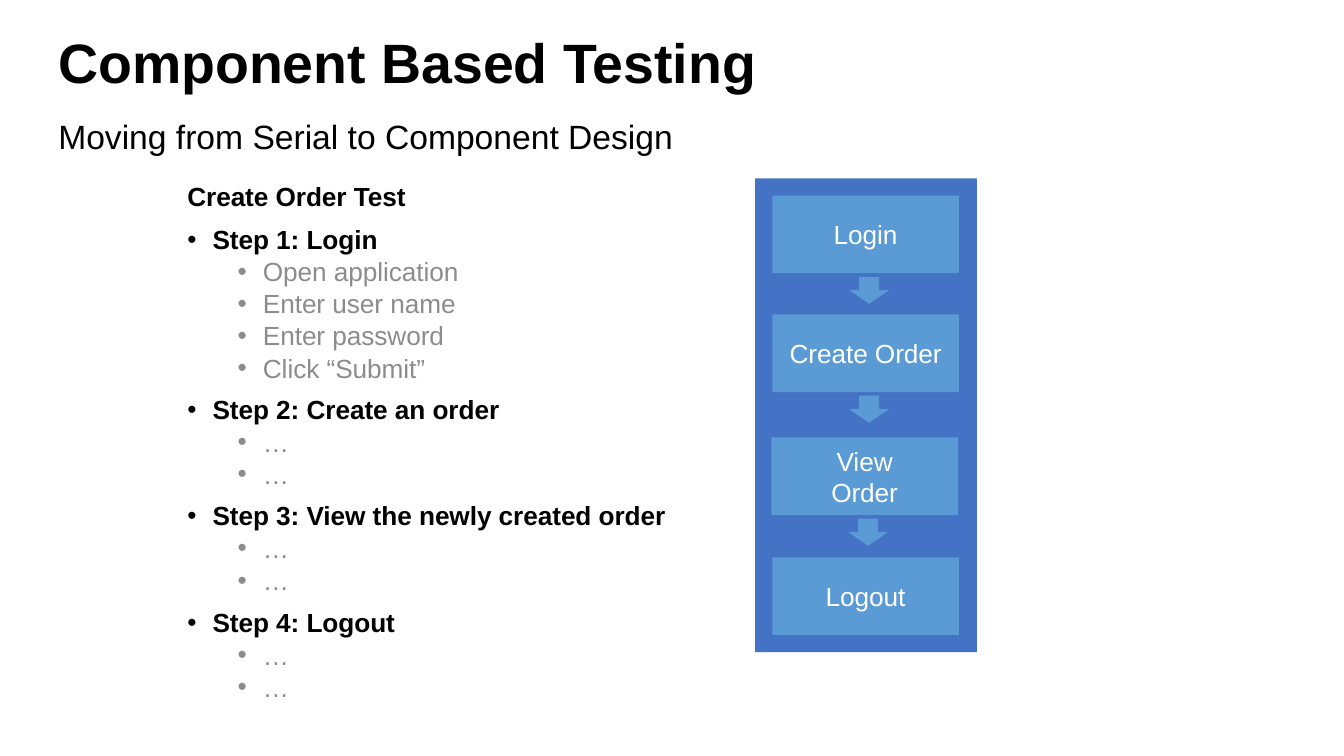
"""Builds the Component Based Testing slide."""
from pptx import Presentation
from pptx.dml.color import RGBColor
from pptx.enum.shapes import MSO_SHAPE as Preset
from pptx.enum.text import MSO_ANCHOR as Anchor, PP_ALIGN as Align
from pptx.oxml.ns import qn
from pptx.util import Inches, Pt
from lxml.etree import SubElement

COLORS = {
    "text": "000000", "detail": "8C8C8C", "label": "FFFFFF",
    "panel": "4472C4", "stage": "5B9BD5",
}
HEADING, TEST_STEPS = "Create Order Test", [
    ("Step 1: Login",
     ["Open application", "Enter user name", "Enter password", "Click “Submit”"]),
    ("Step 2: Create an order", ["…", "…"]),
    ("Step 3: View the newly created order", ["…", "…"]),
    ("Step 4: Logout", ["…", "…"]),
]
STAGES = [
    (["Login"], 7.66, 1.94),
    (["Create Order"], 7.66, 3.12),
    (["View", "Order"], 7.65, 4.34),
    (["Logout"], 7.66, 5.53),
]
STAGE_WIDTH, STAGE_HEIGHT = 1.85, 0.77
ARROW_WIDTH, ARROW_HEIGHT, ARROW_GAP = 0.38, 0.26, 0.04
BODY_SIZE = 18.66


class SlideBuilder:
    """Holds the slide and its style."""

    def __init__(self, slide, font="Arial"):
        self.slide = slide
        self.font = font
        self.flow = None

    def color(self, name):
        return RGBColor.from_string(COLORS[name])

    def style(self, paragraph, size, color, bold=False):
        font = paragraph.font
        font.name, font.size, font.bold = self.font, Pt(size), bold
        font.color.rgb = self.color(color)

    def text_box(self, left, top, width, height, anchor=Anchor.TOP):
        frame = self.slide.shapes.add_textbox(
            Inches(left), Inches(top), Inches(width), Inches(height)).text_frame
        frame.word_wrap = True
        frame.vertical_anchor = anchor
        return frame

    def title(self, box, text):
        frame = self.text_box(*box, Anchor.MIDDLE)
        frame.margin_top = frame.margin_bottom = 0
        frame.text = text
        frame.paragraphs[0].line_spacing = 0.9
        self.style(frame.paragraphs[0], 39.6, "text", True)

    def subtitle(self, box, text):
        frame = self.text_box(*box)
        frame.text = text
        self.style(frame.paragraphs[0], 24, "text")

    def bullet(self, paragraph, margin):
        properties = paragraph._p.get_or_add_pPr()
        properties.set("marL", str(Inches(margin)))
        properties.set("indent", str(-Inches(0.25)))
        SubElement(properties, qn("a:buFont")).set("typeface", self.font)
        SubElement(properties, qn("a:buChar")).set("char", "•")

    def outline(self, box, heading, steps):
        frame = self.text_box(*box)
        title = frame.paragraphs[0]
        title.text, title.line_spacing = heading, 0.9
        self.style(title, BODY_SIZE, "text", True)
        for step, details in steps:
            self.item(frame, step, "text", 0.25, 0.9, 10, True)
            for detail in details:
                self.item(frame, detail, "detail", 0.75, 0.8, 5)

    def item(self, frame, text, color, margin, spacing, before, bold=False):
        paragraph = frame.add_paragraph()
        paragraph.text = text
        paragraph.line_spacing = spacing
        paragraph.space_before = Pt(before)
        self.bullet(paragraph, margin)
        self.style(paragraph, BODY_SIZE, color, bold)

    def start_flow(self, panel_box):
        self.flow = self.slide.shapes.add_group_shape()
        self.block(Preset.RECTANGLE, panel_box, "panel")

    def block(self, preset, box, fill):
        shape = self.flow.shapes.add_shape(preset, *map(Inches, box))
        shape.shadow.inherit = False
        shape.fill.solid()
        shape.fill.fore_color.rgb = self.color(fill)
        shape.line.fill.background()
        return shape

    def stage(self, labels, left, top):
        box = (left, top, STAGE_WIDTH, STAGE_HEIGHT)
        frame = self.block(Preset.RECTANGLE, box, "stage").text_frame
        frame.word_wrap = True
        frame.vertical_anchor = Anchor.MIDDLE
        frame.text = "\n".join(labels)
        for paragraph in frame.paragraphs:
            paragraph.alignment = Align.CENTER
            self.style(paragraph, BODY_SIZE, "label")

    def arrow_below(self, left, top):
        arrow = self.block(
            Preset.DOWN_ARROW,
            (left + 0.77, top + STAGE_HEIGHT + ARROW_GAP, ARROW_WIDTH, ARROW_HEIGHT),
            "stage")
        arrow.line.color.rgb = self.color("stage")
        arrow.line.width = Pt(0.5)


def main():
    deck = Presentation()
    deck.slide_width, deck.slide_height = Inches(13.33), Inches(7.5)
    builder = SlideBuilder(deck.slides.add_slide(deck.slide_layouts[6]))

    builder.subtitle((0.48, 1.1, 12.34, 0.5), "Moving from Serial to Component Design")
    builder.title((0.48, 0.34, 12.34, 0.63), "Component Based Testing")
    builder.outline((1.76, 1.78, 11.57, 5.34), HEADING, TEST_STEPS)

    builder.start_flow((7.49, 1.77, 2.2, 4.7))
    for labels, left, top in STAGES:
        builder.stage(labels, left, top)
    for _, left, top in STAGES[:-1]:
        builder.arrow_below(left, top)

    deck.save("out.pptx")


if __name__ == "__main__":
    main()
